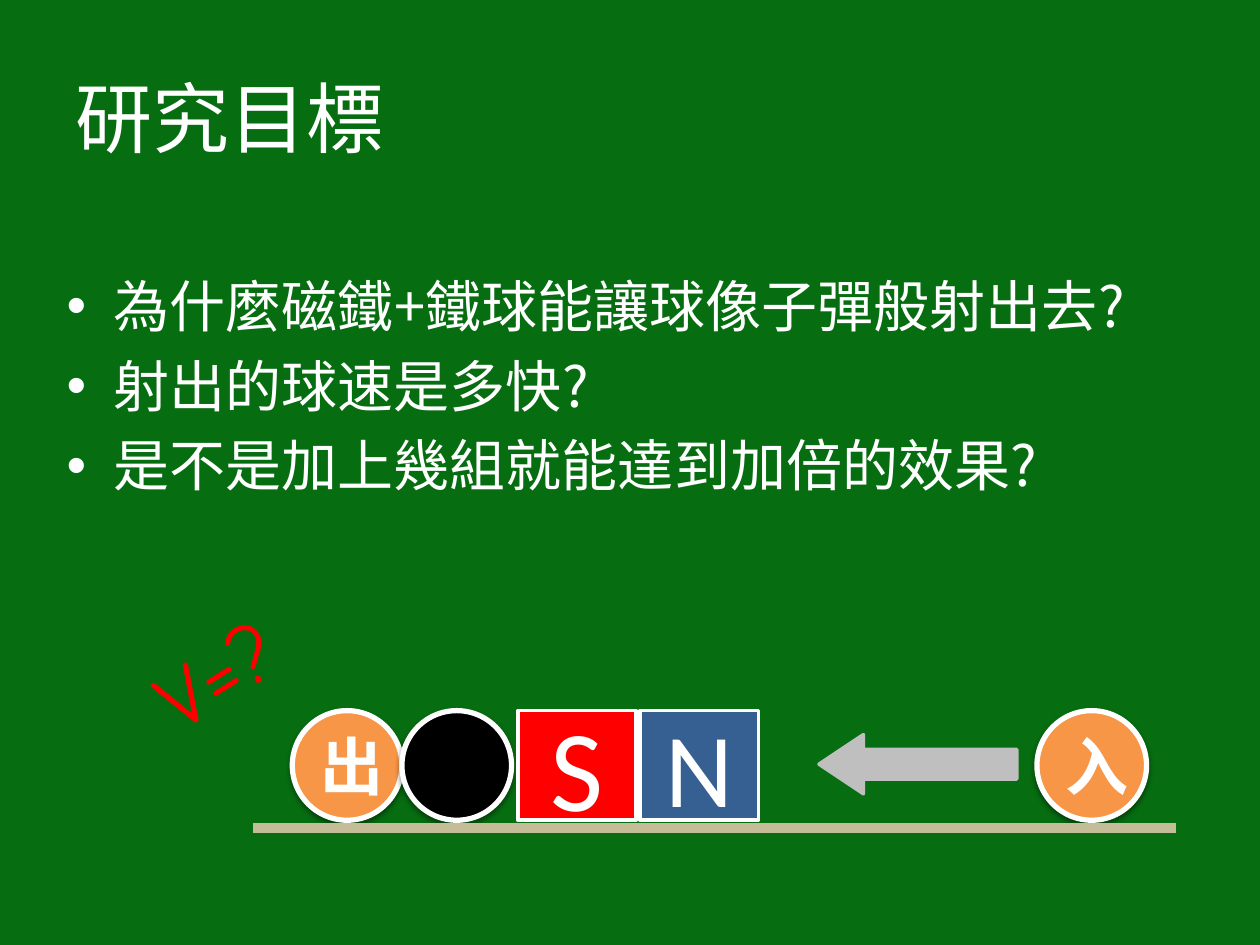
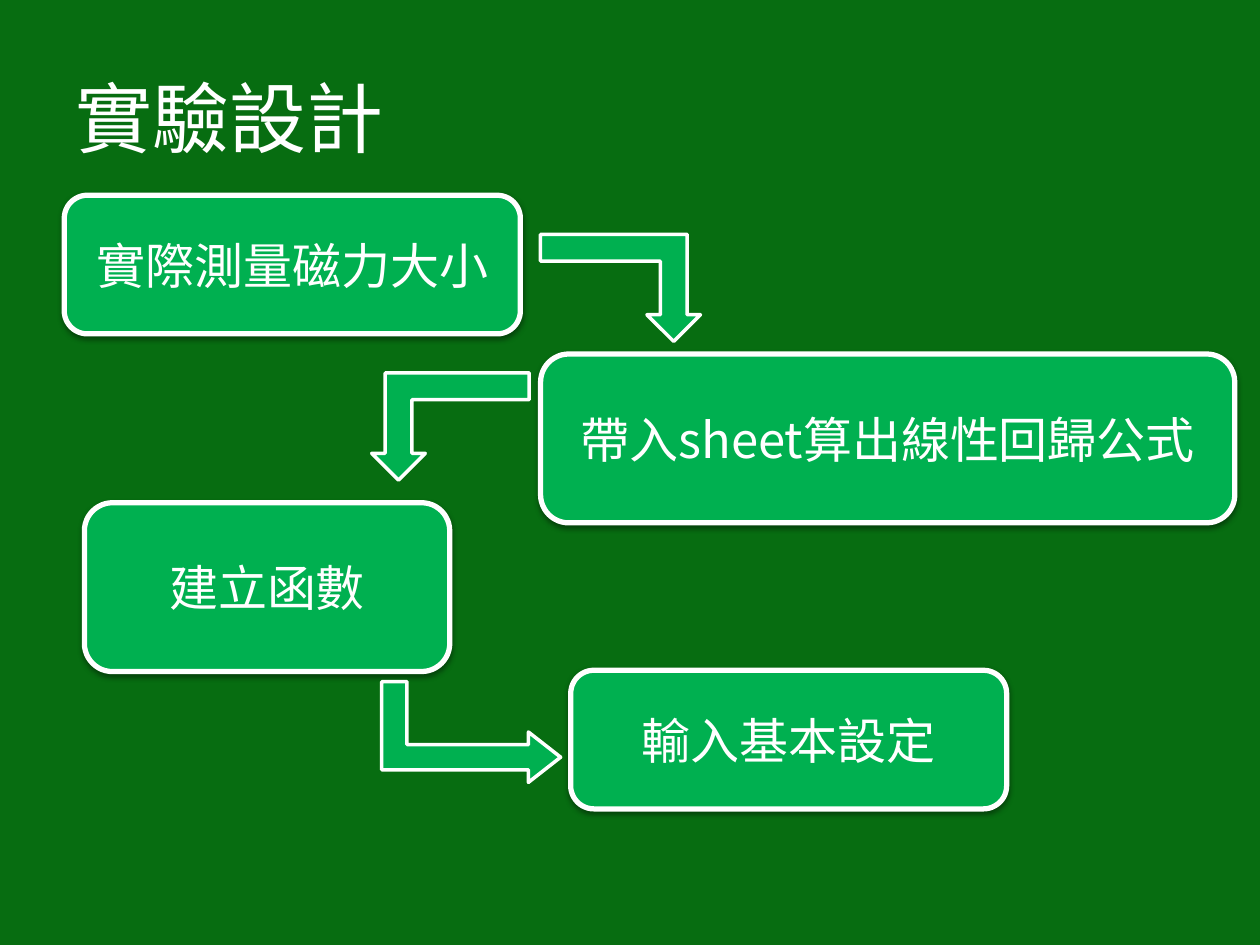
from lxml import etree
from pptx import Presentation
from pptx import util as u
from pptx.dml.color import RGBColor
from pptx.enum import shapes, text
from pptx.oxml.ns import nsdecls, qn

BOARD = RGBColor(0x07, 0x6D, 0x11)
WHITE = RGBColor(0xFF, 0xFF, 0xFF)
BLACK = RGBColor(0x00, 0x00, 0x00)
RED = RGBColor(0xFF, 0x00, 0x00)
ORANGE = RGBColor(0xF7, 0x96, 0x46)
BLUE = RGBColor(0x37, 0x60, 0x92)
GREY = RGBColor(0xBF, 0xBF, 0xBF)
SAND = RGBColor(0xC4, 0xBD, 0x97)
GREEN = RGBColor(0x00, 0xB0, 0x50)
CJK, LATIN, HAND = "Noto Sans CJK SC", "Calibri", "Comic Neue"
COLUMNS, ROWS = 100, 75
KIND = shapes.MSO_SHAPE
SHADOW = (
    f'<a:outerShdw {nsdecls("a")} blurRad="39370" dist="20320" dir="5400000" rotWithShape="0">'
    '<a:srgbClr val="000000"><a:alpha val="38000"/></a:srgbClr></a:outerShdw>'
)


class Board:
    """Holds the chalkboard style and the current slide; lengths are grid columns and rows."""

    def __init__(self):
        self.deck = Presentation()
        self.deck.slide_width, self.deck.slide_height = u.Inches(10), u.Inches(7.5)
        self.column = self.deck.slide_width / COLUMNS
        self.row = self.deck.slide_height / ROWS
        backdrop = self.deck.slide_master.background.fill
        backdrop.solid()
        backdrop.fore_color.rgb = BOARD
        self.slide = None

    def place(self, left, top, width, height):
        return (round(left * self.column), round(top * self.row),
                round(width * self.column), round(height * self.row))

    def apply(self, target, formats):
        for name, value in formats.items():
            setattr(target, name, value)

    def letter(self, frame, lines, size, align=text.PP_ALIGN.CENTER, font=CJK,
               color=WHITE, bold=False, anchor=text.MSO_ANCHOR.MIDDLE):
        self.apply(frame, {"word_wrap": True, "vertical_anchor": anchor})
        for index, line in enumerate(lines):
            paragraph = frame.add_paragraph() if index else frame.paragraphs[0]
            paragraph.alignment = align
            run = paragraph.add_run()
            run.text = line
            self.apply(run.font, {"size": u.Pt(size), "name": font, "bold": bold})
            run.font.color.rgb = color
            etree.SubElement(run.font._element, qn("a:ea"), typeface=font)

    def start(self, heading):
        self.slide = self.deck.slides.add_slide(self.deck.slide_layouts[5])
        title = self.slide.shapes.title
        spot = self.place(5, 3, 90, 12.5)
        self.apply(title, dict(zip(("left", "top", "width", "height"), spot)))
        self.letter(title.text_frame, [heading], 44, text.PP_ALIGN.LEFT)

    def bullets(self, spot, lines, size):
        frame = self.slide.shapes.add_textbox(*self.place(*spot)).text_frame
        self.letter(frame, lines, size, text.PP_ALIGN.LEFT, anchor=text.MSO_ANCHOR.TOP)
        hang = round(3.75 * self.column)
        for paragraph in frame.paragraphs:
            self.apply(paragraph, {"line_spacing": u.Pt(size * 1.22),
                                   "space_before": u.Pt(size * 0.2)})
            properties = paragraph._p.get_or_add_pPr()
            properties.set("marL", str(hang))
            properties.set("indent", str(-hang))
            etree.SubElement(properties, qn("a:buFont"), typeface="Arial")
            etree.SubElement(properties, qn("a:buChar"), char="•")

    def note(self, spot, words, size, turn, **style):
        label = self.slide.shapes.add_textbox(*self.place(*spot))
        label.rotation = turn
        self.letter(label.text_frame, [words], size, **style)

    def solid(self, kind, spot, fill, edge=WHITE, weight=2, shadow=False,
              turn=0, flips=(), adjust=()):
        figure = self.slide.shapes.add_shape(kind, *self.place(*spot))
        figure.fill.solid()
        figure.fill.fore_color.rgb = fill
        figure.line.color.rgb = edge
        figure.line.width = u.Pt(weight)
        figure.shadow.inherit = False
        properties = figure._element.spPr
        if shadow:
            properties.find(qn("a:effectLst")).append(etree.fromstring(SHADOW))
        figure.rotation = turn
        for flip in flips:
            properties.find(qn("a:xfrm")).set(flip, "1")
        for index, value in enumerate(adjust):
            figure.adjustments[index] = value
        return figure

    def raised(self, kind, spot, fill, words, size, bold=False):
        figure = self.solid(kind, spot, fill, weight=3, shadow=True)
        if words:
            self.letter(figure.text_frame, [words], size, bold=bold)

    def line(self, start, end, color, weight):
        begin, finish = self.place(*start, 0, 0)[:2], self.place(*end, 0, 0)[:2]
        rail = self.slide.shapes.add_connector(shapes.MSO_CONNECTOR.STRAIGHT, *begin, *finish)
        rail.line.color.rgb = color
        rail.line.width = u.Pt(weight)
        etree.SubElement(rail._element.spPr, qn("a:effectLst"))


def research_goals(board):
    board.start("研究目標")
    board.bullets((4.3, 21, 92, 49.5), [
        "為什麼磁鐵+鐵球能讓球像子彈般射出去?",
        "射出的球速是多快?",
        "是不是加上幾組就能達到加倍的效果?",
    ], 32)
    track_top, ball = 56.4, 8.7
    for left, color, words in ((23.2, ORANGE, "出"), (31.9, BLACK, ""), (82.3, ORANGE, "入")):
        board.raised(KIND.OVAL, (left, track_top, ball, ball), color, words, 36, bold=True)
    for left, color, pole, size in ((41.1, RED, "S", 66), (50.8, BLUE, "N", 60)):
        magnet = board.solid(KIND.RECTANGLE, (left, track_top, 9.4, ball), color)
        board.letter(magnet.text_frame, [pole], size, font=LATIN)
    board.solid(KIND.RIGHT_ARROW, (65, 58.3, 15.7, 4.7), GREY, edge=GREY,
                turn=180, adjust=(0.5, 0.75))
    board.note((4.9, 48.8, 24.4, 9.1), "V=?", 48, 327.7, font=HAND, color=RED,
               anchor=text.MSO_ANCHOR.TOP)
    board.line((20.1, 65.7), (93.3, 65.7), SAND, 6)


def experiment_design(board):
    board.start("實驗設計")
    steps = (
        ("實際測量磁力大小", (5.1, 15.5, 36.2, 11)),
        ("帶入sheet算出線性回歸公式", (42.9, 28.1, 55.1, 13.4)),
        ("建立函數", (6.7, 39.9, 29, 13.4)),
        ("輸入基本設定", (45.3, 53.2, 34.6, 11)),
    )
    for words, spot in steps:
        board.raised(KIND.ROUNDED_RECTANGLE, spot, GREEN, words, 28)
    turns = (
        ((42.9, 18.6, 12.7, 8.5), 180, ("flipH",), ()),
        ((29.5, 29.6, 12.5, 8.5), 180, (), ()),
        ((33.4, 51, 8, 14.2), 270, ("flipH", "flipV"), (0.25, 0.25, 0.32)),
    )
    for spot, turn, flips, adjust in turns:
        board.solid(KIND.BENT_UP_ARROW, spot, GREEN, turn=turn, flips=flips, adjust=adjust)


def main():
    board = Board()
    research_goals(board)
    experiment_design(board)
    board.deck.save("out.pptx")


if __name__ == "__main__":
    main()
